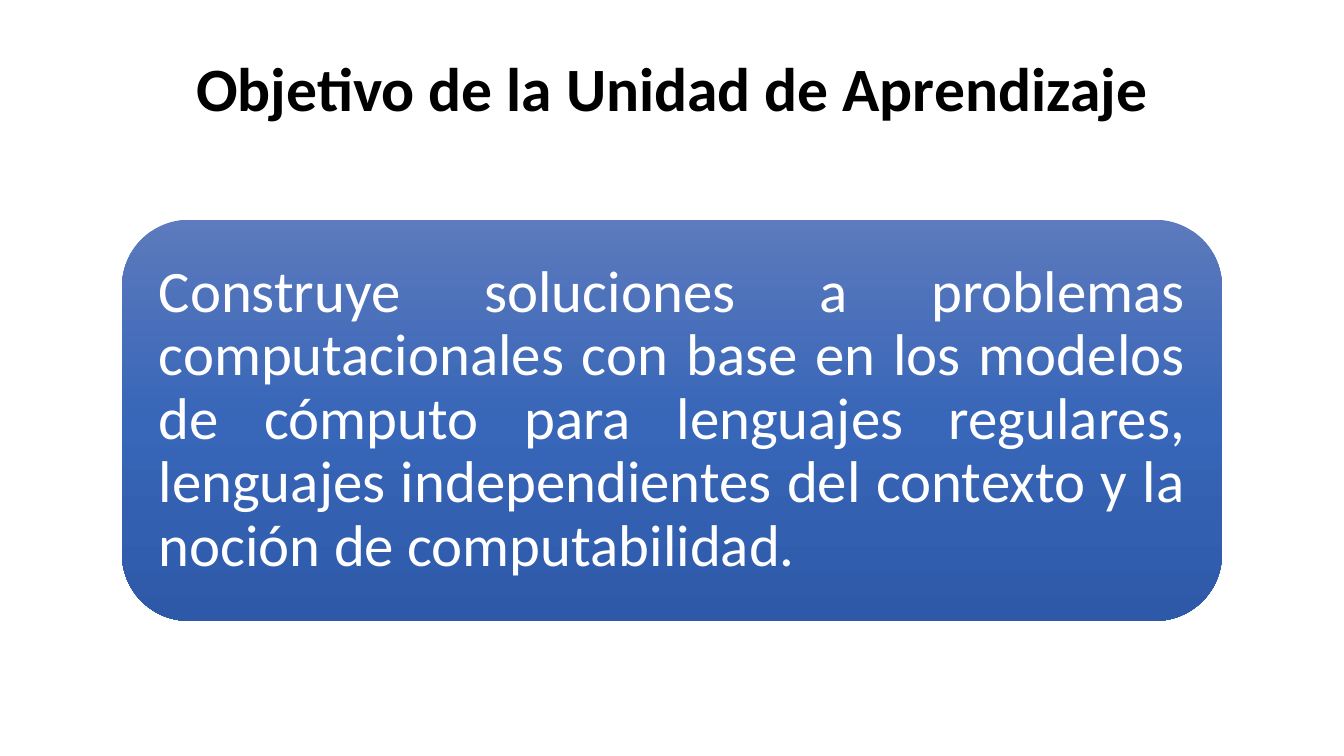
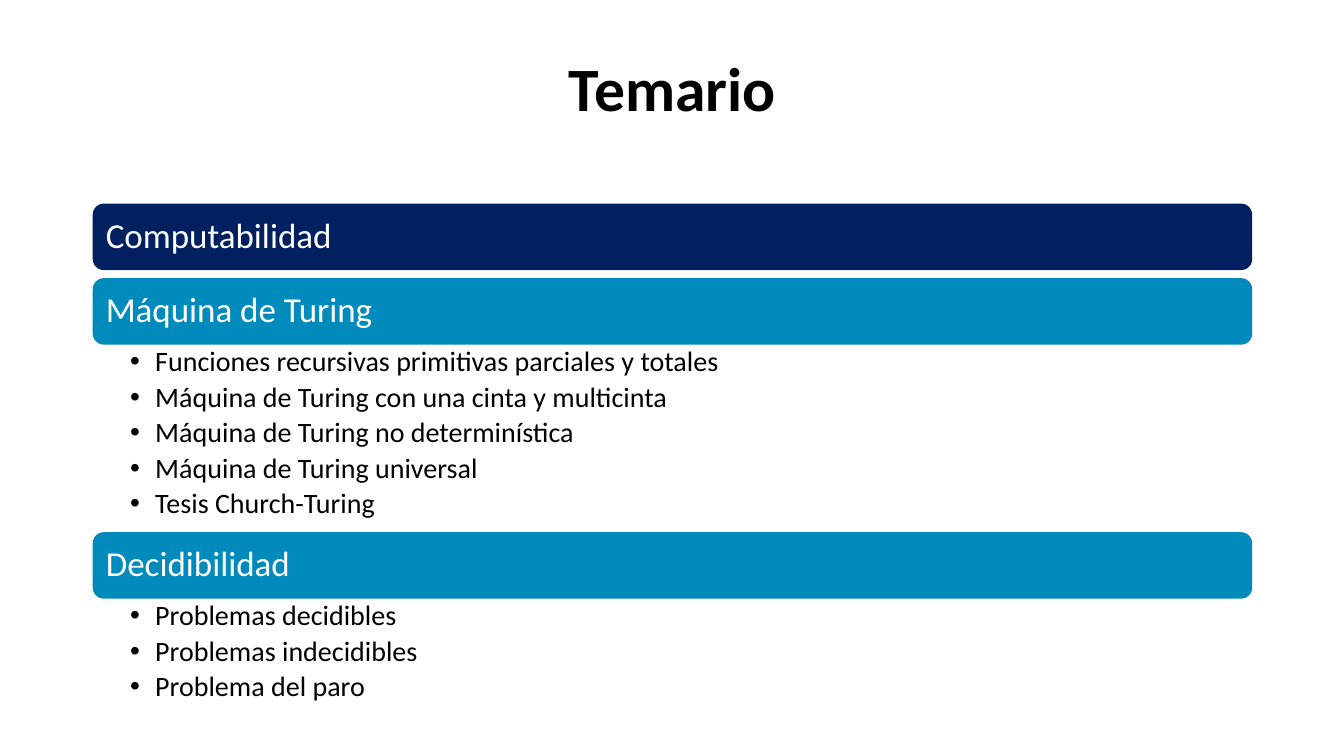
"""Build the objective and syllabus slides of a computability course."""
import copy

import pptx
import pptx.dml.color
import pptx.enum.shapes
import pptx.enum.text
import pptx.oxml.ns
import pptx.util
from pptx.util import Inches, Pt

FONT = "Calibri"
BLACK, WHITE = "000000", "FFFFFF"
NAVY, CYAN = "002060", "008BBC"
BLUE_STOPS = [(0, "5C7ABD"), (0.5, "3866B8"), (1, "2D59A8")]
ALIGN = pptx.enum.text.PP_ALIGN
ANCHOR = pptx.enum.text.MSO_ANCHOR
LEFT, WIDTH = 0.92, 11.5
BAR_HEIGHT, BAR_GAP = 0.66, 0.08

TOPICS = [
    ("Computabilidad", NAVY, []),
    ("Máquina de Turing", CYAN, [
        "Funciones recursivas primitivas parciales y totales",
        "Máquina de Turing con una cinta y multicinta",
        "Máquina de Turing no determinística",
        "Máquina de Turing universal",
        "Tesis Church-Turing",
    ]),
    ("Decidibilidad", CYAN, [
        "Problemas decidibles",
        "Problemas indecidibles",
        "Problema del paro",
    ]),
]


def paint(target, color):
    """Set a colour format to a hex colour."""
    target.rgb = pptx.dml.color.RGBColor.from_string(color)


def set_frame(shape, anchor, left, top, right, bottom):
    """Set wrapping, anchor and insets of a shape and return its text frame."""
    frame = shape.text_frame
    frame.word_wrap = True
    frame.vertical_anchor = anchor
    frame.margin_left, frame.margin_right = Inches(left), Inches(right)
    frame.margin_top, frame.margin_bottom = Inches(top), Inches(bottom)
    return frame


def style_paragraph(para, text, size, color, align=ALIGN.LEFT, bold=False):
    """Fill a paragraph with text in the deck's type style."""
    para.text = text
    para.alignment = align
    para.line_spacing = 0.9
    para.font.name, para.font.size, para.font.bold = FONT, Pt(size), bold
    paint(para.font.color, color)


def add_bullet(para):
    """Give a paragraph a hanging round bullet."""
    properties = para._p.get_or_add_pPr()
    properties.set("marL", str(Inches(0.25)))
    properties.set("indent", str(-Inches(0.25)))
    font = properties.makeelement(pptx.oxml.ns.qn("a:buFont"), {"typeface": "Arial"})
    mark = properties.makeelement(pptx.oxml.ns.qn("a:buChar"), {"char": "•"})
    properties.extend([font, mark])


def add_title(page, text):
    """Add the centred bold title."""
    box = page.shapes.add_textbox(Inches(LEFT), Inches(0.4), Inches(WIDTH), Inches(1.01))
    frame = set_frame(box, ANCHOR.MIDDLE, 0.1, 0.05, 0.1, 0.05)
    style_paragraph(frame.paragraphs[0], text, 44, BLACK, ALIGN.CENTER, True)


def add_panel(page, left, top, width, height, inset, text, size, align=ALIGN.LEFT):
    """Add a rounded panel with white text and return it."""
    panel = page.shapes.add_shape(
        pptx.enum.shapes.MSO_SHAPE.ROUNDED_RECTANGLE,
        Inches(left), Inches(top), Inches(width), Inches(height))
    panel.shadow.inherit = False
    panel.line.fill.background()
    frame = set_frame(panel, ANCHOR.MIDDLE, inset, inset, inset, inset)
    style_paragraph(frame.paragraphs[0], text, size, WHITE, align)
    return panel


def fill_gradient(shape, stops):
    """Fill a shape with a gradient from top to bottom."""
    shape.fill.gradient()
    shape.fill.gradient_angle = 270
    stop_list = shape._element.spPr.find(".//" + pptx.oxml.ns.qn("a:gsLst"))
    while len(stop_list) < len(stops):
        stop_list.append(copy.deepcopy(stop_list[0]))
    for stop, (position, color) in zip(shape.fill.gradient_stops, stops):
        stop.position = position
        paint(stop.color, color)


def add_topic_list(page, left, top, width, items):
    """Add the bulleted items of a topic and return the list height."""
    height = 0.37 * len(items) + 0.01
    box = page.shapes.add_textbox(Inches(left), Inches(top), Inches(width), Inches(height))
    frame = set_frame(box, ANCHOR.TOP, 0.37, 0.03, 0.19, 0.03)
    for index, item in enumerate(items):
        para = frame.add_paragraph() if index else frame.paragraphs[0]
        add_bullet(para)
        style_paragraph(para, item, 20, BLACK)
        para.space_after = Pt(3.75)
    return height


def add_topics(page, left, top, width, topics):
    """Stack topic bars, each followed by its list or a gap."""
    for heading, color, items in topics:
        bar = add_panel(page, left, top, width, BAR_HEIGHT, 0.1, heading, 25)
        bar.fill.solid()
        paint(bar.fill.fore_color, color)
        top += BAR_HEIGHT
        top += add_topic_list(page, left, top, width, items) if items else BAR_GAP


def add_page(deck, title):
    """Add a blank slide with a title."""
    page = deck.slides.add_slide(deck.slide_layouts[6])
    add_title(page, title)
    return page


def build_objective(deck):
    """Build the slide with the learning objective."""
    page = add_page(deck, "Objetivo de la Unidad de Aprendizaje")
    panel = add_panel(
        page, 1.21, 2.18, 10.91, 3.98, 0.17,
        "Construye soluciones a problemas computacionales con base en los modelos "
        "de cómputo para lenguajes regulares, lenguajes independientes del contexto "
        "y la noción de computabilidad.", 42, ALIGN.JUSTIFY)
    fill_gradient(panel, BLUE_STOPS)


def build_syllabus(deck):
    """Build the slide with the syllabus."""
    page = add_page(deck, "Temario")
    add_topics(page, LEFT, 2.02, WIDTH, TOPICS)


def main():
    """Build and save the deck."""
    deck = pptx.Presentation()
    deck.slide_width, deck.slide_height = Inches(13.33), Inches(7.5)
    build_objective(deck)
    build_syllabus(deck)
    deck.save("out.pptx")


if __name__ == "__main__":
    main()
